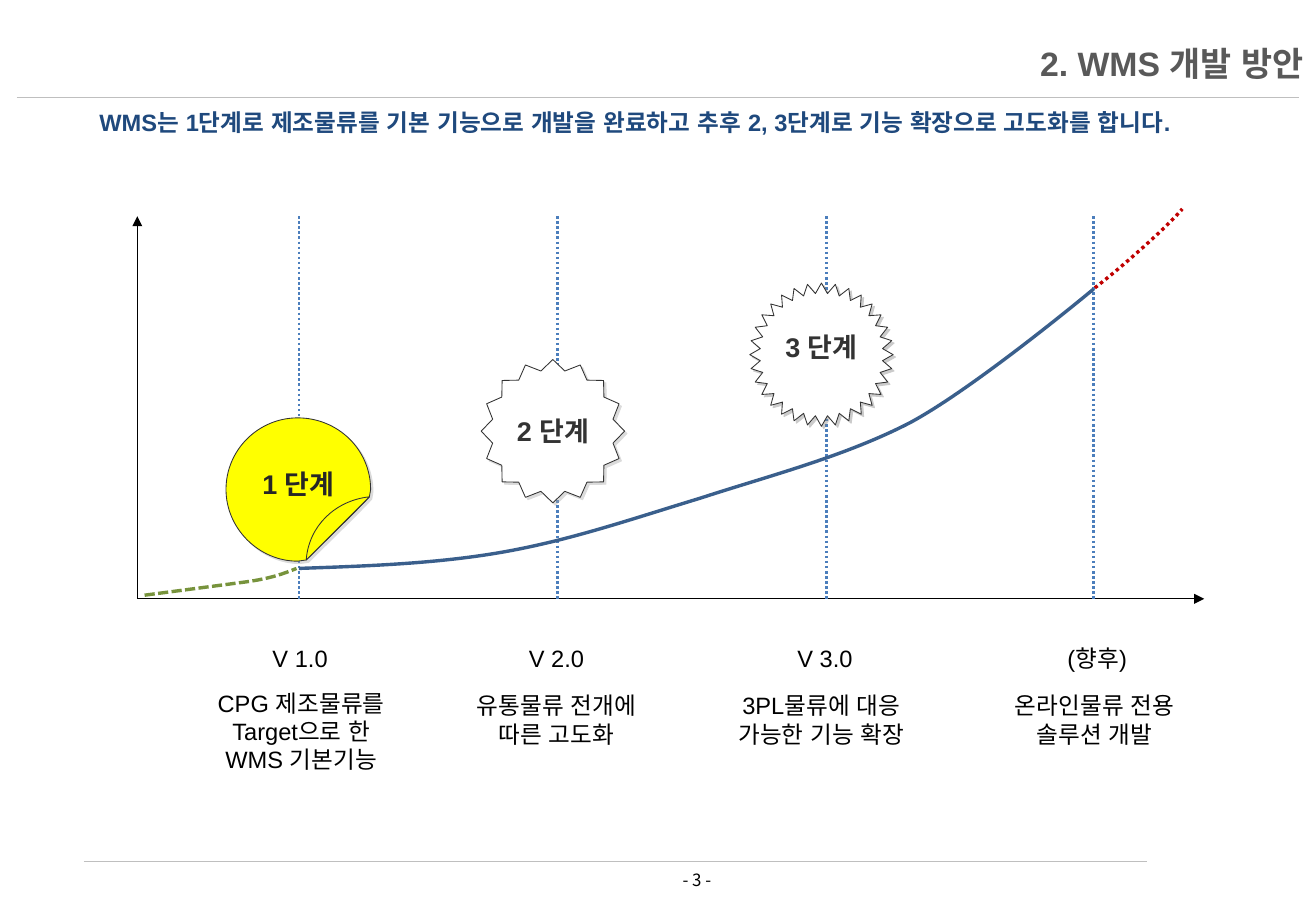
from lxml.etree import SubElement
from pptx import Presentation
from pptx.dml.color import RGBColor
from pptx.enum.dml import MSO_LINE
from pptx.enum.shapes import MSO_CONNECTOR, MSO_SHAPE
from pptx.enum.text import MSO_ANCHOR, PP_ALIGN
from pptx.oxml.ns import qn
from pptx.util import Inches, Pt

rgb = RGBColor.from_string
DOT, DASH = MSO_LINE.ROUND_DOT, MSO_LINE.SQUARE_DOT
LEFT, CENTER, RIGHT = PP_ALIGN.LEFT, PP_ALIGN.CENTER, PP_ALIGN.RIGHT


def write(sp, text, size, color="000000", bold=False, align=CENTER, font="Arial"):
    """Fill a shape with text, one paragraph per line, in one format."""
    tf = sp.text_frame
    tf.word_wrap = True
    tf.text = text
    for p in tf.paragraphs:
        p.alignment = align
        p.font.name = font
        p.font.size = Pt(size)
        p.font.bold = bold
        p.font.color.rgb = rgb(color)
        SubElement(p._p.pPr.find(qn("a:defRPr")), qn("a:ea"), typeface=font)
    return tf


def draw_outline(start, segments, closed):
    """Draw a freeform of lines (1 point) and cubic curves (3 points)."""
    points = [start] + [point for seg in segments for point in seg]
    points = [(Inches(x), Inches(y)) for x, y in points]
    fb = s.shapes.build_freeform(*points[0])
    fb.add_line_segments(points[1:], close=closed)
    sp = fb.convert_to_shape()
    steps = iter(list(sp._element.iter(qn("a:lnTo"))))
    for seg in segments:
        first, *rest = [next(steps) for _ in seg]
        if rest:
            first.tag = qn("a:cubicBezTo")
        for step in rest:
            first.append(step[0])
            step.getparent().remove(step)
    return sp


prs = Presentation()
prs.slide_width, prs.slide_height = Inches(10.83), Inches(7.5)
s = prs.slides.add_slide(prs.slide_layouts[5])

title = s.shapes.title
title.left, title.top, title.width, title.height = map(Inches, (1.08, 0.29, 9.75, 0.45))
tf = write(title, "2. WMS 개발 방안", 20, "595959", True, RIGHT)
tf.vertical_anchor = MSO_ANCHOR.MIDDLE

# Rules, axes and stage lines
axis_x, axis_y, axis_top = 1.13, 4.93, 1.78
lines = [
    (0.14, 0.8, 10.69, 0.8, "BFBFBF", 0.25, DOT, False),
    (0.69, 7.09, 9.43, 7.09, "BFBFBF", 0.25, DOT, False),
    (axis_x, axis_y, 9.91, axis_y, "000000", 0.75, None, True),
    (axis_x, axis_y, axis_x, axis_top, "000000", 0.75, None, True),
]
lines += [(x, axis_top, x, axis_y, "4B7EBC", 1.5, DOT, False) for x in (2.46, 4.59, 6.8, 9)]
for x1, y1, x2, y2, color, width, dash, arrow in lines:
    cn = s.shapes.add_connector(MSO_CONNECTOR.STRAIGHT, *map(Inches, (x1, y1, x2, y2)))
    cn.line.color.rgb = rgb(color)
    cn.line.width = Pt(width)
    cn.line.dash_style = dash
    spPr = cn._element.spPr
    if arrow:
        SubElement(spPr.find(qn("a:ln")), qn("a:tailEnd"), type="triangle")
    SubElement(spPr, qn("a:effectLst"))

# Sticker, its fold, and the three parts of the growth curve
outlines = [
    ((2.45, 3.44), [[(2.13, 3.44), (1.86, 3.7), (1.86, 4.03)],
                    [(1.86, 4.35), (2.13, 4.62), (2.45, 4.62)],
                    [(2.52, 4.61)],
                    [(2.62, 4.51), (2.95, 4.19), (3.04, 4.09)],
                    [(3.04, 4.07), (3.05, 4.05), (3.05, 4.03)],
                    [(3.05, 3.7), (2.78, 3.44), (2.45, 3.44)]],
     "FFFF00", "333333", 0.5, None),
    ((3.04, 4.09), [[(2.76, 4.12), (2.54, 4.33), (2.52, 4.61)]],
     "FFFF00", "333333", 0.5, None),
    ((1.19, 4.9), [[(2.03, 4.79)], [(2.24, 4.76), (2.34, 4.72), (2.44, 4.68)]],
     None, "77933C", 2, DASH),
    ((2.46, 4.68), [[(3.04, 4.66), (3.62, 4.64), (4.17, 4.54)],
                    [(4.72, 4.44), (5.21, 4.27), (5.77, 4.1)],
                    [(6.32, 3.92), (6.95, 3.76), (7.49, 3.48)],
                    [(8.03, 3.19), (9, 2.38), (9, 2.38)]],
     None, "3A5F8C", 2, None),
    ((9.01, 2.37), [[(9.19, 2.23), (9.36, 2.08), (9.48, 1.97)],
                    [(9.6, 1.86), (9.67, 1.79), (9.73, 1.72)]],
     None, "C00000", 2, DOT),
]
drawn = []
for start, segments, fill, color, width, dash in outlines:
    sp = draw_outline(start, segments, fill is not None)
    sp.shadow.inherit = False
    if fill:
        sp.fill.solid()
        sp.fill.fore_color.rgb = rgb(fill)
    else:
        sp.fill.background()
    sp.line.color.rgb = rgb(color)
    sp.line.width = Pt(width)
    sp.line.dash_style = dash
    drawn.append(sp)

# Stage badges
badges = [(drawn[0], "1 단계", "262626", "A6A6A6", 13)]
for star, x, y, label, shade, spacing in [
    (MSO_SHAPE.STAR_16_POINT, 3.96, 2.96, "2 단계", "A6A6A6", None),
    (MSO_SHAPE.STAR_32_POINT, 6.17, 2.33, "3 단계", "7F7F7F", 10),
]:
    sp = s.shapes.add_shape(star, *map(Inches, (x, y, 1.18, 1.18)))
    sp.adjustments[0] = 0.428
    sp.shadow.inherit = False
    sp.fill.solid()
    sp.fill.fore_color.rgb = rgb("FFFFFF")
    sp.line.color.rgb = rgb("333333")
    sp.line.width = Pt(0.5)
    badges.append((sp, label, "333333", shade, spacing))

for sp, label, color, shade, spacing in badges:
    tf = write(sp, label, 16, color, True)
    tf.word_wrap = False
    tf.vertical_anchor = MSO_ANCHOR.MIDDLE
    tf.margin_left = tf.margin_right = tf.margin_top = tf.margin_bottom = 0
    if spacing:
        tf.paragraphs[0].line_spacing = Pt(spacing)
    effects = sp._element.spPr.find(qn("a:effectLst"))
    shadow = SubElement(effects, qn("a:outerShdw"), dist=str(Pt(2)), dir="2700000",
                        algn="tl", rotWithShape="0")
    clr = SubElement(shadow, qn("a:srgbClr"), val=shade)
    SubElement(clr, qn("a:alpha"), val="40000")
drawn[0].text_frame.margin_bottom = Inches(0.01)

# Headline, page number and stage captions
texts = [
    (0.72, 0.84, 9.36, 0.57,
     "WMS는 1단계로 제조물류를 기본 기능으로 개발을 완료하고 추후 2, 3단계로 기능 확장으로 고도화를 합니다.",
     (14, "1F497D", True, LEFT)),
    (4.71, 7.11, 2.05, 0.27, "- 3 -", (10, "000000", False, CENTER, "Noto Sans CJK KR")),
]
for version_x, version, scope_x, scope_y, scope_h, scope in [
    (1.59, "V 1.0", 1.6, 5.62, 0.81, "CPG 제조물류를 Target으로 한\nWMS 기본기능"),
    (3.7, "V 2.0", 3.7, 5.64, 0.57, "유통물류 전개에 따른 고도화"),
    (5.91, "V 3.0", 5.88, 5.64, 0.57, "3PL물류에 대응 가능한 기능 확장"),
    (8.15, "(향후)", 8.13, 5.64, 0.57, "온라인물류 전용 솔루션 개발"),
]:
    texts += [(version_x, 5.25, 1.76, 0.34, version, (14,)),
              (scope_x, scope_y, 1.76, scope_h, scope, (14,))]
for x, y, w, h, text, style in texts:
    write(s.shapes.add_textbox(*map(Inches, (x, y, w, h))), text, *style)

prs.save("out.pptx")
